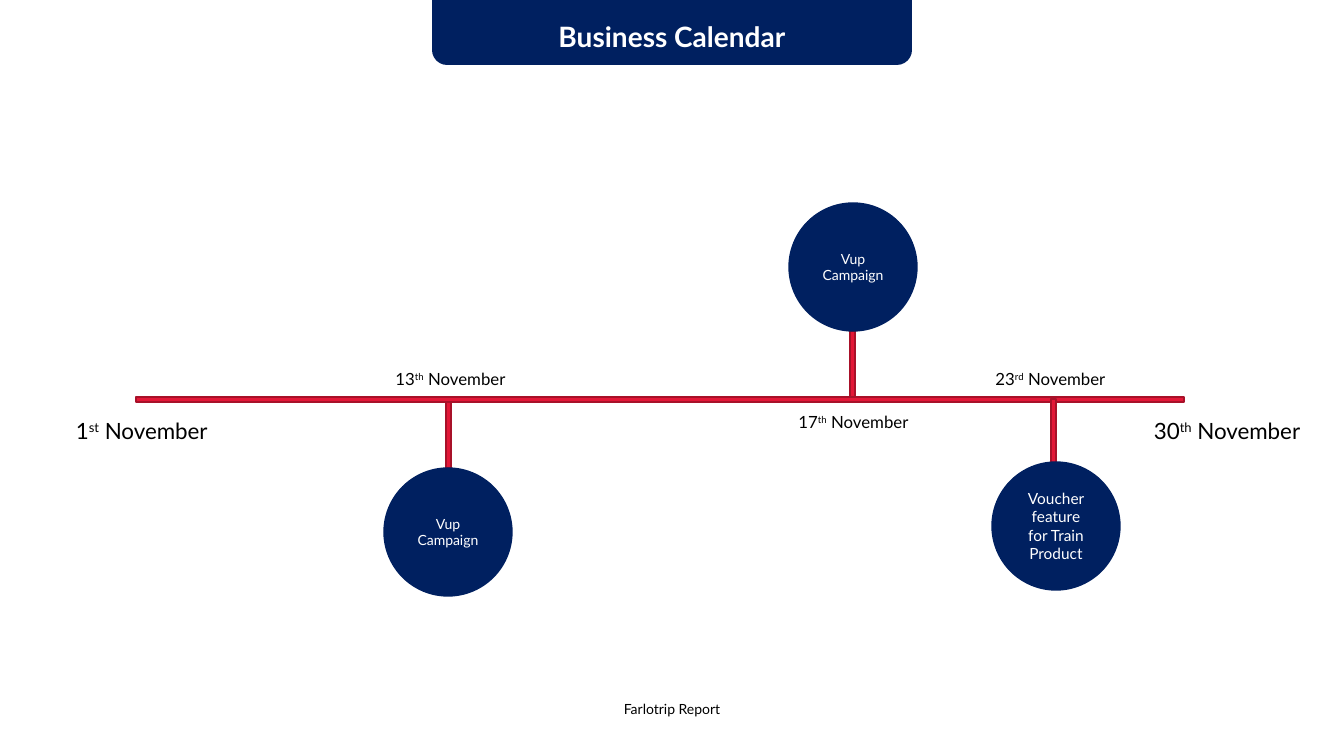
import pptx
import pptx.util
import pptx.dml.color
import pptx.enum.shapes
import pptx.enum.text

RGB = pptx.dml.color.RGBColor
NAVY = RGB(0x00, 0x20, 0x60)
RED = RGB(0xE3, 0x17, 0x37)
WINE = RGB(0xA8, 0x11, 0x29)
WHITE = RGB(0xFF, 0xFF, 0xFF)
BLACK = RGB(0x00, 0x00, 0x00)

KIND = pptx.enum.shapes.MSO_SHAPE
LEFT = pptx.enum.text.PP_ALIGN.LEFT
MID = pptx.enum.text.PP_ALIGN.CENTER
CORE = pptx.enum.text.MSO_ANCHOR.MIDDLE

SCALE = 914400 / 100.8
WIDE, HIGH = 1344, 756
DISC = 128
STEM = 66
BAR = 5
DATE = 225

EVENTS = [
    ("13", "th", "Vup Campaign", 10, 448, 448, 450, False, 0),
    ("17", "th", "Vup Campaign", 10, 853, 852, 853, True, 0),
    ("23", "rd", "Voucher feature for Train Product", 11, 1056, 1053, 1050, False, 6),
]


def px(*nums):
    return [pptx.util.Emu(round(n * SCALE)) for n in nums]


def style(para, size, color, align=MID, bold=False):
    para.alignment = align
    font = para.font
    font.name = "Lato"
    font.size = pptx.util.Pt(size)
    font.color.rgb = color
    font.bold = bold


def shape(slide, kind, box, fill, edge=None):
    item = slide.shapes.add_shape(kind, *px(*box))
    item.shadow.inherit = False
    item.fill.solid()
    item.fill.fore_color.rgb = fill
    if edge is None:
        item.line.fill.background()
    else:
        item.line.color.rgb = edge
        item.line.width = pptx.util.Pt(1)
    return item


def label(slide, box, parts, size, align):
    frame = slide.shapes.add_textbox(*px(*box)).text_frame
    frame.word_wrap = True
    para = frame.paragraphs[0]
    style(para, size, BLACK, align)
    for spot, text in enumerate(parts):
        run = para.add_run()
        run.text = text
        if spot == 1:
            run.font._element.set("baseline", "30000")


def banner(slide, box):
    left, top, wide, high = box
    shape(slide, KIND.ROUNDED_RECTANGLE, box, NAVY)
    title = slide.shapes.title
    title.left, title.top, title.width, title.height = px(left, top + 39, wide, high - 45)
    slide.shapes._spTree.append(title._element)
    frame = title.text_frame
    frame.text = "Business Calendar"
    frame.vertical_anchor = CORE
    style(frame.paragraphs[0], 20, WHITE, bold=True)


def event(slide, line, item):
    day, end, text, size, hub, post, date, above, lift = item
    base = line + BAR
    start = line - STEM if above else base - lift // 2
    disc = start - DISC if above else base + STEM - lift
    shape(slide, KIND.RECTANGLE, (post - 2, start, BAR, STEM), RED, WINE)
    ball = shape(slide, KIND.OVAL, (hub - DISC // 2, disc, DISC, DISC), NAVY, NAVY)
    frame = ball.text_frame
    frame.word_wrap = True
    frame.vertical_anchor = CORE
    frame.text = text
    style(frame.paragraphs[0], size, WHITE)
    top = base + 5 if above else line - 33
    label(slide, (date - DATE // 2, top, DATE, 30), (day, end, " November"), 12, MID)


def calendar(slide, box):
    left, top, wide, high = box
    shape(slide, KIND.RECTANGLE, box, RED, WINE)
    for item in EVENTS:
        event(slide, top, item)
    ends = [(left - 70, 199, "1", "st"), (left + wide - 40, 225, "30", "th")]
    for edge, span, day, end in ends:
        label(slide, (edge, top + 15, span, 37), (day, end, " November"), 16, LEFT)


def footer(slide, box):
    label(slide, box, ["Farlotrip Report"], 10, LEFT)


def main():
    deck = pptx.Presentation()
    deck.slide_width, deck.slide_height = px(WIDE, HIGH)
    slide = deck.slides.add_slide(deck.slide_layouts[5])
    banner(slide, (432, -25, 480, 90))
    calendar(slide, (136, 397, 1048, BAR))
    footer(slide, (614, 696, 135, 27))
    deck.save("out.pptx")


if __name__ == "__main__":
    main()
